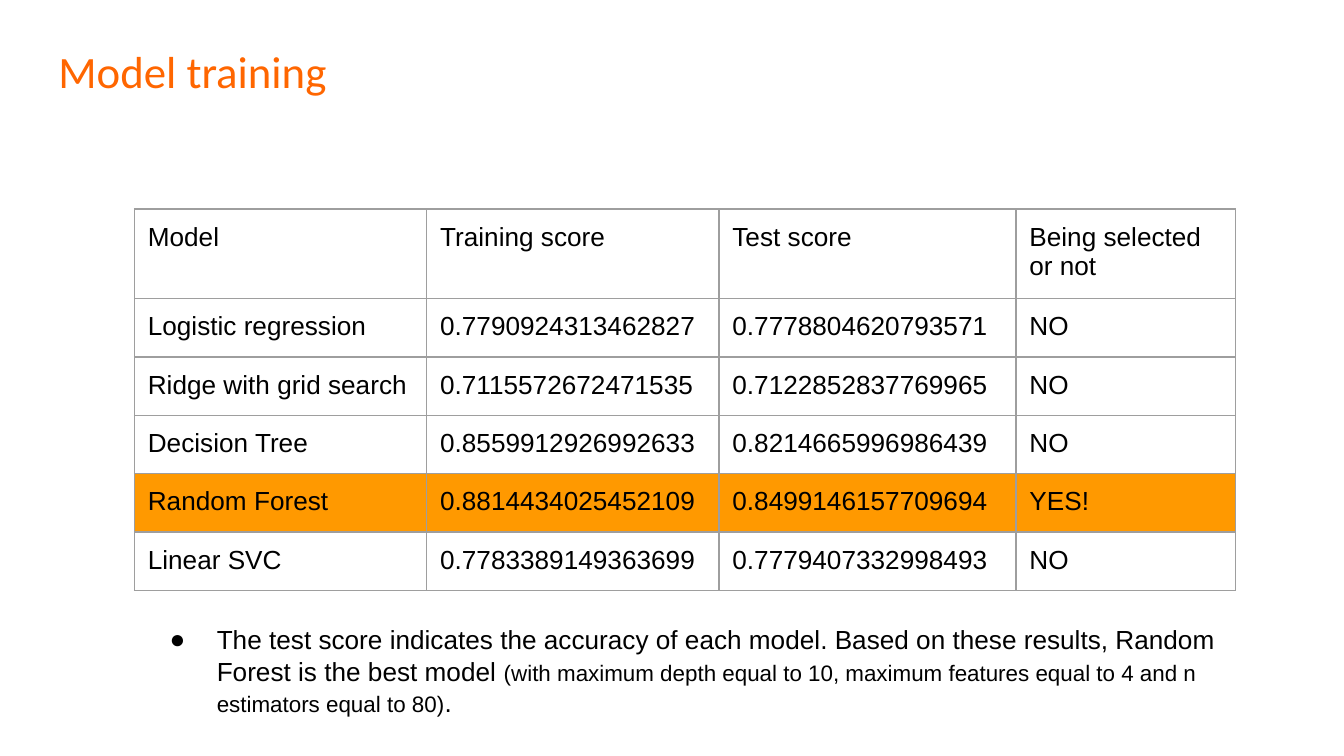
from lxml import etree
from pptx import Presentation
from pptx import util as u
from pptx.dml.color import RGBColor
from pptx.enum import text
from pptx.oxml.ns import qn

PX = 4572  # 200 px to the inch
COLORS = {"title": "FF6600", "text": "000000", "border": "9E9E9E", "selected": "FF9900"}

COLUMN_WIDTHS = [435, 435, 442, 327]
ROW_HEIGHTS = [132] + [86] * 5
SELECTED_ROW = 4
SCORES = [
    ["Model", "Training score", "Test score", "Being selected or not"],
    ["Logistic regression", "0.7790924313462827", "0.7778804620793571", "NO"],
    ["Ridge with grid search", "0.7115572672471535", "0.7122852837769965", "NO"],
    ["Decision Tree", "0.8559912926992633", "0.8214665996986439", "NO"],
    ["Random Forest", "0.8814434025452109", "0.8499146157709694", "YES!"],
    ["Linear SVC", "0.7783389149363699", "0.7779407332998493", "NO"],
]
CONCLUSION = [
    ("The test score indicates the accuracy of each model. Based on these results, "
     "Random Forest is the best model ", 14),
    ("(with maximum depth equal to 10, maximum features equal to 4 and n "
     "estimators equal to 80)", 12),
    (".", 14),
]


def px(length):
    return u.Emu(length * PX)


def set_font(font, size, color, name="Arial"):
    font.name = name
    font.size = u.Pt(size)
    font.color.rgb = RGBColor.from_string(COLORS[color])


def set_margins(holder, horizontal, vertical):
    holder.margin_left = holder.margin_right = px(horizontal)
    holder.margin_top = holder.margin_bottom = px(vertical)


def add_text_frame(slide, box, horizontal, vertical):
    frame = slide.shapes.add_textbox(*map(px, box)).text_frame
    frame.word_wrap = True
    frame.auto_size = text.MSO_AUTO_SIZE.SHAPE_TO_FIT_TEXT
    set_margins(frame, horizontal, vertical)
    return frame


def add_title(slide, box):
    paragraph = add_text_frame(slide, box, 14, 8).paragraphs[0]
    paragraph.text = "Model training"
    set_font(paragraph.font, 24, "title", "Calibri")


def set_borders(cell):
    """Draw the four sides; they must precede the fill in the cell properties."""
    properties = cell._tc.get_or_add_tcPr()
    for position, side in enumerate(("a:lnL", "a:lnR", "a:lnT", "a:lnB")):
        line = etree.Element(qn(side), w=str(u.Pt(0.75)))
        fill = etree.SubElement(line, qn("a:solidFill"))
        etree.SubElement(fill, qn("a:srgbClr"), val=COLORS["border"])
        properties.insert(position, line)


def add_score_table(slide, left, top):
    box = (left, top, sum(COLUMN_WIDTHS), sum(ROW_HEIGHTS))
    table = slide.shapes.add_table(len(SCORES), len(COLUMN_WIDTHS), *map(px, box)).table
    table.first_row = table.horz_banding = False
    for column, width in zip(table.columns, COLUMN_WIDTHS):
        column.width = px(width)
    for row, height in zip(table.rows, ROW_HEIGHTS):
        row.height = px(height)
    for row_index, values in enumerate(SCORES):
        for column_index, value in enumerate(values):
            cell = table.cell(row_index, column_index)
            cell.text = value
            set_margins(cell, 20, 20)
            set_font(cell.text_frame.paragraphs[0].font, 14, "text")
            if row_index == SELECTED_ROW:
                cell.fill.solid()
                cell.fill.fore_color.rgb = RGBColor.from_string(COLORS["selected"])
            else:
                cell.fill.background()
            set_borders(cell)


def set_bullet(paragraph, indent, hanging):
    properties = paragraph._p.get_or_add_pPr()
    properties.set("marL", str(px(indent)))
    properties.set("indent", str(px(-hanging)))
    color = etree.SubElement(properties, qn("a:buClr"))
    etree.SubElement(color, qn("a:srgbClr"), val=COLORS["text"])
    etree.SubElement(properties, qn("a:buFont"), typeface="Arial")
    etree.SubElement(properties, qn("a:buChar"), char="●")


def add_conclusion(slide, box):
    paragraph = add_text_frame(slide, box, 20, 20).paragraphs[0]
    set_bullet(paragraph, 100, 70)
    for words, size in CONCLUSION:
        run = paragraph.add_run()
        run.text = words
        set_font(run.font, size, "text")


def main():
    presentation = Presentation()
    presentation.slide_width, presentation.slide_height = px(2000), px(1125)
    slide = presentation.slides.add_slide(presentation.slide_layouts[6])
    add_title(slide, (73, 57, 950, 96))
    add_score_table(slide, 200, 311)
    add_conclusion(slide, (203, 908, 1674, 182))
    presentation.save("out.pptx")


if __name__ == "__main__":
    main()
